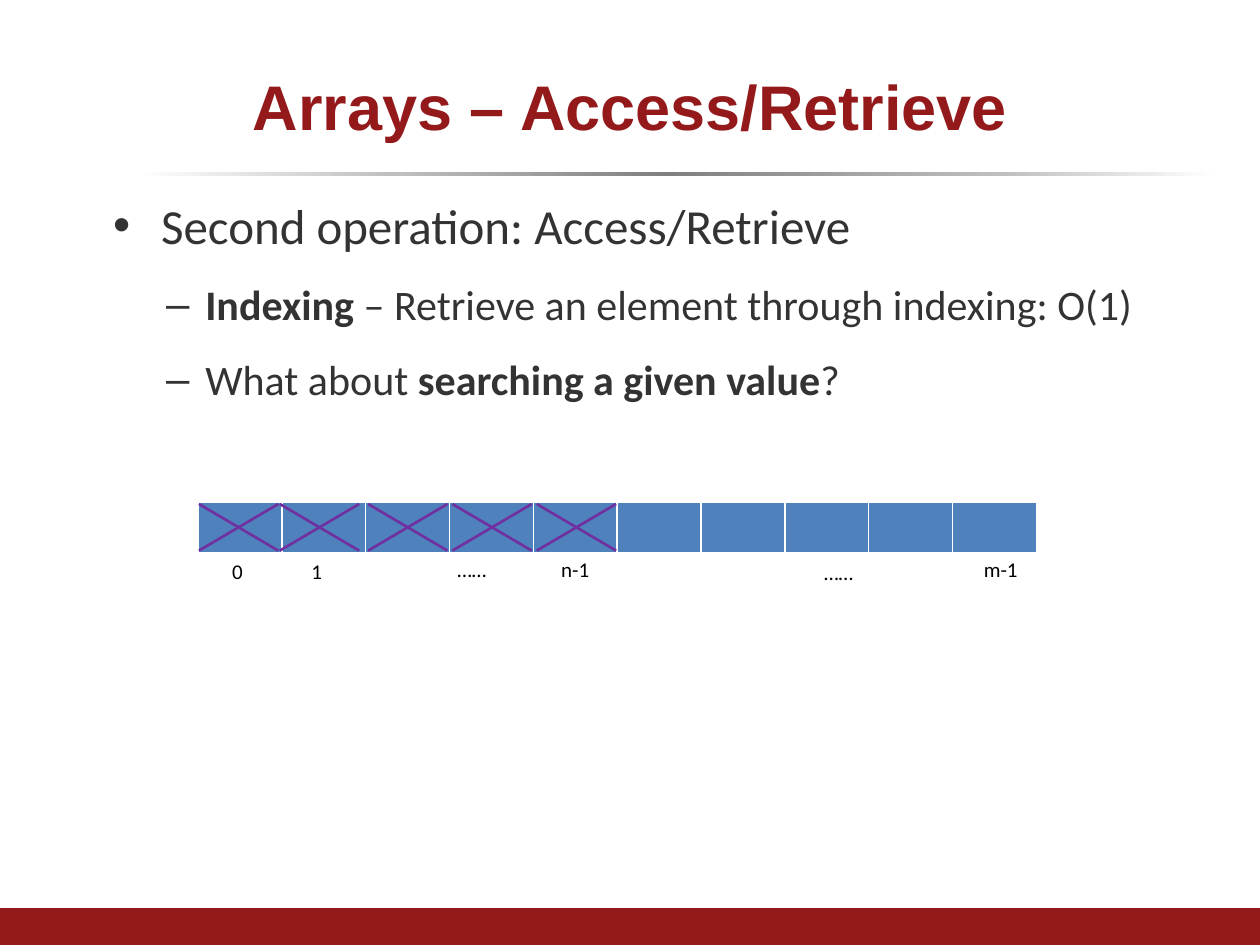
from lxml import etree
from pptx import Presentation
from pptx.dml.color import RGBColor
from pptx.enum.shapes import MSO_CONNECTOR, MSO_SHAPE
from pptx.enum.text import MSO_ANCHOR, PP_ALIGN
from pptx.oxml import parse_xml
from pptx.oxml.ns import nsdecls, qn
from pptx.util import Cm, Pt

CENTER = PP_ALIGN.CENTER
MIDDLE = MSO_ANCHOR.MIDDLE
RECTANGLE = MSO_SHAPE.RECTANGLE
STRAIGHT = MSO_CONNECTOR.STRAIGHT

COLORS = {"red": "93191B", "text": "333333", "label": "000000", "cell": "4F81BD",
          "border": "FFFFFF", "cross": "7030A0"}

TITLE = "Arrays – Access/Retrieve"
# level, [(text, bold)]
BULLETS = [
    (0, [("Second operation: Access/Retrieve", False)]),
    (1, [("Indexing ", True), ("– Retrieve an element through indexing: O(1)", False)]),
    (1, [("What about ", False), ("searching a given value", True), ("?", False)]),
]
# bullet, size, left margin, hanging indent, space before
LEVELS = [("•", 28, 1.73, 0.97, 0), ("–", 24, 2.62, 0.79, 14)]
# text, left, top, width
LABELS = [("0", 4.19, 11.13, 1.19), ("m-1", 19.58, 11.1, 1.19), ("1", 5.79, 11.13, 1.19),
          ("……", 7.42, 11.1, 4.19), ("……", 14.81, 11.15, 4.19), ("n-1", 11, 11.1, 1.19)]
RULE_STOPS = [(0, "FFFFFF"), (24, "BFBFBF"), (49, "808080"), (80, "BFBFBF"), (100, "FFFFFF")]
CELL_COUNT = 10
CELL_WIDTH, CELL_HEIGHT = 1.69, 1.04
ARRAY_LEFT, ARRAY_TOP = 3.99, 10.13
CROSS_LEFTS = [4.01, 5.64, 7.42, 9.12, 10.82]
CROSS_WIDTH = 1.6
CROSS_TOP, CROSS_BOTTOM = 10.16, 11.1
BORDERS = [("a:lnL", 1), ("a:lnR", 1), ("a:lnT", 1), ("a:lnB", 3)]


def color(name):
    return RGBColor.from_string(COLORS[name])


def add_run(paragraph, text, font_name, size, color_name, bold=False):
    run = paragraph.add_run()
    run.text = text
    font = run.font
    font.name, font.size, font.bold = font_name, Pt(size), bold
    font.color.rgb = color(color_name)


def add_bar(slide, left, top, width, height):
    bar = slide.shapes.add_shape(RECTANGLE, Cm(left), Cm(top), Cm(width), Cm(height))
    bar.shadow.inherit = False
    bar.line.fill.background()
    return bar


def add_title_and_bars(slide):
    rule = add_bar(slide, 2.74, 3.47, 21.8, 0.08)
    rule.fill.gradient()
    rule.fill.gradient_angle = 0
    stop_list = rule.fill._fill._gradFill.find(qn("a:gsLst"))
    for stop in list(stop_list):
        stop_list.remove(stop)
    for position, hex_color in RULE_STOPS:
        stop = etree.SubElement(stop_list, qn("a:gs"), pos=str(position * 1000))
        etree.SubElement(stop, qn("a:srgbClr"), val=hex_color)

    footer = add_bar(slide, 0, 18.31, 25.4, 0.74)
    footer.fill.solid()
    footer.fill.fore_color.rgb = color("red")

    title = slide.shapes.title
    title.left, title.top, title.width, title.height = Cm(1.27), Cm(0.76), Cm(22.86), Cm(2.72)
    title.text_frame.vertical_anchor = MIDDLE
    paragraph = title.text_frame.paragraphs[0]
    paragraph.alignment = CENTER
    add_run(paragraph, TITLE, "Arial", 36, "red", True)


def add_bullets(slide):
    frame = slide.shapes.add_textbox(Cm(1.27), Cm(3.81), Cm(22.86), Cm(14.4)).text_frame
    frame.word_wrap = True
    for index, (level, runs) in enumerate(BULLETS):
        paragraph = frame.paragraphs[0] if index == 0 else frame.add_paragraph()
        bullet, size, margin, hanging, space_before = LEVELS[level]
        paragraph.level = level
        paragraph.space_before = Pt(space_before)
        properties = paragraph._p.get_or_add_pPr()
        properties.set("marL", str(Cm(margin)))
        properties.set("indent", str(-Cm(hanging)))
        etree.SubElement(properties, qn("a:buFont"), typeface="Arial")
        etree.SubElement(properties, qn("a:buChar"), char=bullet)
        for text, bold in runs:
            add_run(paragraph, text, "Calibri", size, "text", bold)


def add_array(slide):
    table = slide.shapes.add_table(1, CELL_COUNT, Cm(ARRAY_LEFT), Cm(ARRAY_TOP),
                                   Cm(CELL_WIDTH * CELL_COUNT), Cm(CELL_HEIGHT)).table
    table.first_row = table.horz_banding = False
    for column in table.columns:
        column.width = Cm(CELL_WIDTH)
    for cell in table.iter_cells():
        properties = cell._tc.get_or_add_tcPr()
        for tag, width in BORDERS:
            properties.append(parse_xml(
                f'<{tag} {nsdecls("a")} w="{Pt(width)}"><a:solidFill>'
                f'<a:srgbClr val="{COLORS["border"]}"/></a:solidFill></{tag}>'))
        cell.fill.solid()
        cell.fill.fore_color.rgb = color("cell")


def add_labels(slide):
    for text, left, top, width in LABELS:
        frame = slide.shapes.add_textbox(Cm(left), Cm(top), Cm(width), Cm(0.77)).text_frame
        frame.word_wrap = True
        paragraph = frame.paragraphs[0]
        paragraph.alignment = CENTER
        add_run(paragraph, text, "Calibri", 12, "label")


def add_crosses(slide):
    for left in CROSS_LEFTS:
        group = slide.shapes.add_group_shape()
        for start, end in [(CROSS_TOP, CROSS_BOTTOM), (CROSS_BOTTOM, CROSS_TOP)]:
            line = group.shapes.add_connector(STRAIGHT, Cm(left), Cm(start),
                                              Cm(left + CROSS_WIDTH), Cm(end))
            line.line.color.rgb = color("cross")
            line.line.width = Pt(1.5)
            etree.SubElement(line._element.spPr, qn("a:effectLst"))


def main():
    presentation = Presentation()
    presentation.slide_width, presentation.slide_height = Cm(25.4), Cm(19.05)
    slide = presentation.slides.add_slide(presentation.slide_layouts[5])
    add_title_and_bars(slide)
    add_bullets(slide)
    add_array(slide)
    add_labels(slide)
    add_crosses(slide)
    presentation.save("out.pptx")


if __name__ == "__main__":
    main()
